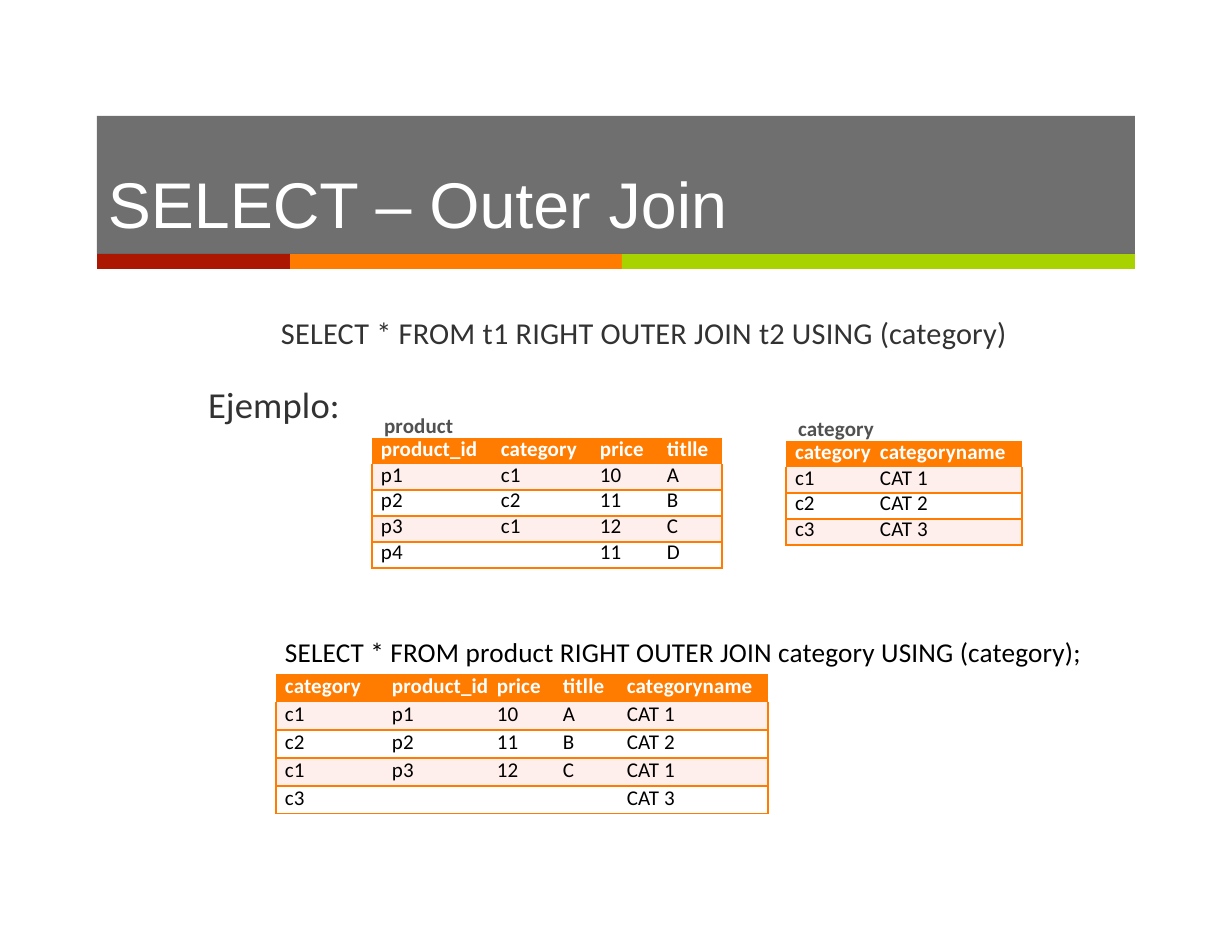
"""Build the SELECT outer join slide with its three tables."""
from lxml.etree import SubElement
from pptx import Presentation
from pptx.dml.color import RGBColor
from pptx.enum.shapes import MSO_SHAPE
from pptx.enum.text import MSO_ANCHOR, PP_ALIGN
from pptx.oxml.ns import qn
from pptx.util import Pt

WHITE = RGBColor(0xFF, 0xFF, 0xFF)
BLACK = RGBColor(0, 0, 0)
DARK = RGBColor(0x32, 0x32, 0x32)
GREY = RGBColor(0x51, 0x51, 0x51)
RED = RGBColor(0xAB, 0x17, 0x00)
ORANGE = RGBColor(0xFF, 0x7C, 0x00)
GREEN = RGBColor(0xA8, 0xD2, 0x00)
PINK = RGBColor(0xFF, 0xEF, 0xEC)
PLAIN = "{2D5ABB26-0587-4C30-8999-92F81FD0307C}"
UNIT = 914400 // 112

TITLE = "SELECT – Outer Join"
BANDS = [(RED, 97, 290), (ORANGE, 290, 622), (GREEN, 622, 1135)]
LABELS = [
    ("SELECT * FROM t1 RIGHT OUTER JOIN t2 USING (category)",
     (280, 311, 729, 40), 19.5, DARK, False),
    ("Ejemplo:", (207, 379, 134, 47), 23.5, DARK, False),
    ("SELECT * FROM product RIGHT OUTER JOIN category USING (category);",
     (284, 632, 809, 37), 17.5, BLACK, False),
    ("product", (383, 410, 73, 29), 13.5, GREY, True),
    ("category", (797, 413, 81, 29), 13.5, GREY, True),
]
TABLES = [
    {"at": (372, 438), "cols": [118, 99, 67, 66], "pads": [9, 11, 11, 11],
     "row": 26, "line": Pt(15.2), "data": [
         ("product_id", "category", "price", "titlle"),
         ("p1", "c1", "10", "A"),
         ("p2", "c2", "11", "B"),
         ("p3", "c1", "12", "C"),
         ("p4", "", "11", "D")]},
    {"at": (786, 441), "cols": [90, 146], "pads": [9, 4],
     "row": 26, "line": Pt(15.2), "data": [
         ("category", "categoryname"),
         ("c1", "CAT 1"),
         ("c2", "CAT 2"),
         ("c3", "CAT 3")]},
    {"at": (276, 674), "cols": [101, 116, 59, 64, 152],
     "pads": [9, 15, 4, 11, 11], "row": 28, "line": None, "data": [
         ("category", "product_id", "price", "titlle", "categoryname"),
         ("c1", "p1", "10", "A", "CAT 1"),
         ("c2", "p2", "11", "B", "CAT 2"),
         ("c1", "p3", "12", "C", "CAT 1"),
         ("c3", "", "", "", "CAT 3")]},
]


def px(*nums):
    return [num * UNIT for num in nums]


def write(para, text, size, color, bold=False, face="Calibri", track=10):
    font = para.font
    font.name, font.size, font.bold = face, Pt(size), bold
    font.color.rgb = color
    if text:
        run = para.add_run()
        run.text = text
        run._r.get_or_add_rPr().set("spc", str(track))
    else:
        para._p.get_or_add_endParaRPr().set("sz", str(int(size * 100)))


def inset(frame, left, top):
    frame.margin_left, frame.margin_top = px(left, top)
    frame.margin_right = frame.margin_bottom = 0


def block(slide, box, color):
    shape = slide.shapes.add_shape(MSO_SHAPE.RECTANGLE, *px(*box))
    shape.shadow.inherit = False
    shape.fill.solid()
    shape.fill.fore_color.rgb = color
    shape.line.fill.background()
    return shape


def edge(cell, sides):
    props = cell._tc.get_or_add_tcPr()
    for spot, side in enumerate("LRTB"):
        line = props.makeelement(qn(f"a:ln{side}"), {"w": "12700"})
        if side in sides:
            fill = SubElement(line, qn("a:solidFill"))
            SubElement(fill, qn("a:srgbClr"), val=str(ORANGE))
        else:
            SubElement(line, qn("a:noFill"))
        props.insert(spot, line)


def grid(slide, spec):
    data, cols, high = spec["data"], spec["cols"], spec["row"]
    frame = slide.shapes.add_table(
        len(data), len(cols),
        *px(*spec["at"], sum(cols), high * len(data)))
    table = frame.table
    table._tbl.tblPr.find(qn("a:tableStyleId")).text = PLAIN
    for col, wide in zip(table.columns, px(*cols)):
        col.width = wide
    for r, row in enumerate(data):
        table.rows[r].height = high * UNIT
        for c, text in enumerate(row):
            cell = table.cell(r, c)
            inset(cell, spec["pads"][c], 0)
            if r == 0 or r % 2:
                cell.fill.solid()
                cell.fill.fore_color.rgb = PINK if r else ORANGE
            else:
                cell.fill.background()
            para = cell.text_frame.paragraphs[0]
            para.space_before = Pt(0.3)
            if spec["line"]:
                para.line_spacing = spec["line"]
            write(para, text, 13.5, BLACK if r else WHITE, r == 0)
            sides = "B" if r else ""
            if r > 1:
                sides += "T"
            if r and c == 0:
                sides += "L"
            if r and c == len(cols) - 1:
                sides += "R"
            edge(cell, sides)


def main():
    deck = Presentation()
    deck.slide_width, deck.slide_height = px(1232, 952)
    slide = deck.slides.add_slide(deck.slide_layouts[6])
    for color, left, right in BANDS:
        block(slide, (left, 254, right - left, 15), color)
    head = block(slide, (97, 116, 1038, 138), DARK)
    tint = head.fill._xPr.find(".//" + qn("a:srgbClr"))
    SubElement(tint, qn("a:alpha"), val="70000")
    frame = head.text_frame
    frame.vertical_anchor = MSO_ANCHOR.TOP
    inset(frame, 11, 48)
    frame.paragraphs[0].alignment = PP_ALIGN.LEFT
    write(frame.paragraphs[0], TITLE, 41.5, WHITE, face="Arial", track=0)
    for text, box, size, color, bold in LABELS:
        frame = slide.shapes.add_textbox(*px(*box)).text_frame
        frame.word_wrap = False
        inset(frame, 1, 3)
        write(frame.paragraphs[0], text, size, color, bold)
    for spec in TABLES:
        grid(slide, spec)
    deck.save("out.pptx")


main()
